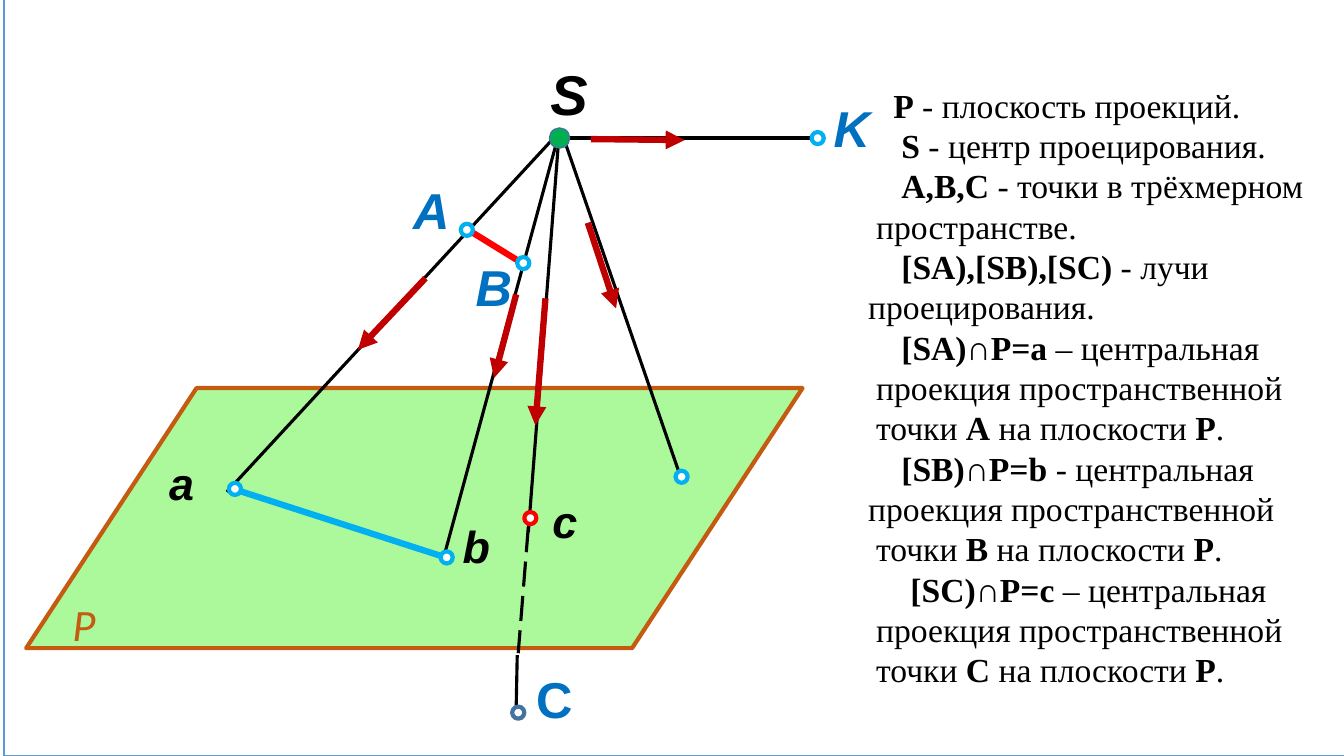
"""Build a slide that explains central projection onto a plane."""
from lxml.etree import SubElement
from pptx import Presentation
from pptx.dml.color import RGBColor
from pptx.enum.dml import MSO_LINE
from pptx.enum.shapes import MSO_CONNECTOR, MSO_SHAPE
from pptx.enum.text import MSO_ANCHOR, MSO_AUTO_SIZE, PP_ALIGN
from pptx.oxml.ns import qn
from pptx.util import Inches, Pt

WHITE = RGBColor(0xFF, 0xFF, 0xFF)
BLACK = RGBColor(0x00, 0x00, 0x00)
FRAME = RGBColor(0x5B, 0x9B, 0xD5)
PLANE = RGBColor(0xAB, 0xF9, 0x9B)
BROWN = RGBColor(0xC5, 0x5A, 0x11)
RED = RGBColor(0xFF, 0x00, 0x00)
DARK_RED = RGBColor(0xC0, 0x00, 0x00)
SKY = RGBColor(0x00, 0xB0, 0xF0)
BLUE = RGBColor(0x00, 0x70, 0xC0)
STEEL = RGBColor(0x43, 0x73, 0x9E)
GREEN = RGBColor(0x00, 0xB0, 0x50)

prs = Presentation()
prs.slide_width, prs.slide_height = Inches(13.33), Inches(7.5)
s = prs.slides.add_slide(prs.slide_layouts[1])
title, legend = s.placeholders
title.element.getparent().remove(title.element)


def add_figure(kind, x, y, w, h, fill, color, width):
    sp = s.shapes.add_shape(kind, Inches(x), Inches(y), Inches(w), Inches(h))
    sp.shadow.inherit = False
    sp.fill.solid()
    sp.fill.fore_color.rgb = fill
    sp.line.color.rgb = color
    sp.line.width = Pt(width)
    return sp


def add_line(x1, y1, x2, y2, color, width):
    ln = s.shapes.add_connector(MSO_CONNECTOR.STRAIGHT, Inches(x1), Inches(y1), Inches(x2), Inches(y2))
    ln.line.color.rgb = color
    ln.line.width = Pt(width)
    SubElement(ln.element.spPr, qn("a:effectLst"))
    return ln


frame = add_figure(MSO_SHAPE.RECTANGLE, 0.04, -0.01, 13.34, 7.51, WHITE, FRAME, 1)
legend.element.addprevious(frame.element)
plane = add_figure(MSO_SHAPE.PARALLELOGRAM, 0.26, 3.85, 7.7, 2.58, PLANE, BROWN, 3)
plane.adjustments[0] = 0.655

rays = [
    (5.54, 1.34, 4.39, 5.57),
    (5.51, 1.35, 2.25, 4.88),
    (5.58, 1.34, 6.76, 4.76),
    (5.62, 1.37, 8.13, 1.37),
    (5.55, 1.27, 5.24, 5.28),
    (5.13, 6.5, 5.12, 7.01),
]
for ends in rays:
    add_line(*ends, BLACK, 2.25)
hidden_ray = add_line(5.24, 5.23, 5.14, 6.48, BLACK, 2.25)
hidden_ray.line.dash_style = MSO_LINE.LONG_DASH

add_line(5.21, 2.63, 4.61, 2.26, RED, 4.5)
add_line(4.45, 5.54, 2.28, 4.84, SKY, 4.5)

arrows = [
    (5.83, 2.21, 6.11, 3.06),
    (5.12, 2.92, 4.9, 3.75),
    (5.86, 1.38, 6.79, 1.39),
    (4.22, 2.76, 3.55, 3.47),
    (5.41, 2.96, 5.31, 4.22),
]
for ends in arrows:
    arrow = add_line(*ends, DARK_RED, 4.5)
    SubElement(arrow.line._get_or_add_ln(), qn("a:tailEnd"), type="triangle")

add_figure(MSO_SHAPE.OVAL, 5.45, 1.27, 0.2, 0.2, GREEN, STEEL, 1)
points = [
    (4.57, 2.22, SKY),
    (5.13, 2.55, SKY),
    (4.37, 5.47, SKY),
    (8.05, 1.31, SKY),
    (6.7, 4.67, SKY),
    (2.27, 4.79, SKY),
    (5.2, 5.08, RED),
    (5.08, 7.01, STEEL),
]
for x, y, color in points:
    add_figure(MSO_SHAPE.OVAL, x, y, 0.12, 0.12, WHITE, color, 3)

labels = [
    ("Р", 0.62, 5.87, 0.41, 0.63, 32, "Calibri", BROWN, False, True),
    ("S", 5.36, 0.54, 0.7, 0.77, 40, "Arial", BLACK, True, True),
    ("a", 1.58, 4.47, 0.4, 0.64, 32, "Arial", BLACK, True, True),
    ("b", 4.49, 5.1, 0.65, 0.64, 32, "Arial", BLACK, True, True),
    ("c", 5.38, 4.85, 0.48, 0.64, 32, "Arial", BLACK, True, True),
    ("С", 5.22, 6.58, 0.48, 0.71, 36, "Arial", BLUE, True, False),
    ("K", 8.17, 0.91, 0.48, 0.71, 36, "Arial", BLUE, True, True),
    ("B", 4.62, 2.49, 0.43, 0.71, 36, "Arial", BLUE, True, True),
    ("A", 4, 1.73, 0.48, 0.71, 36, "Arial", BLUE, True, True),
]
for text, x, y, w, h, size, font, color, bold, italic in labels:
    tb = s.shapes.add_textbox(Inches(x), Inches(y), Inches(w), Inches(h))
    tb.text_frame.word_wrap = True
    r = tb.text_frame.paragraphs[0].add_run()
    r.text = text
    r.font.color.rgb = color
    for name, value in dict(size=Pt(size), name=font, bold=bold, italic=italic).items():
        setattr(r.font, name, value)

box = dict(left=Inches(8.51), top=Inches(0.79), width=Inches(4.75), height=Inches(6.16))
for name, value in box.items():
    setattr(legend, name, value)
tf = legend.text_frame
frame_format = dict(word_wrap=True, auto_size=MSO_AUTO_SIZE.NONE, vertical_anchor=MSO_ANCHOR.TOP)
for name, value in frame_format.items():
    setattr(tf, name, value)

legend_lines = [
    (0.25, "*Р *- плоскость проекций."),
    (0.33, "*S *- центр проецирования."),
    (0.33, "*А,В,С *- точки в трёхмерном"),
    (0.08, "пространстве."),
    (0.33, "*[SA),[SB),[SC)* - лучи"),
    (0, "проецирования."),
    (0.33, "*[SA)∩P=a* – центральная"),
    (0.08, "проекция пространственной"),
    (0.08, "точки *А* на плоскости *Р*."),
    (0.33, "*[SB)∩P=b* - центральная"),
    (0, "проекция пространственной"),
    (0.08, "точки *В* на плоскости *Р*."),
    (0.42, "*[SC)∩P=c* – центральная"),
    (0.08, "проекция пространственной"),
    (0.08, "точки *С* на плоскости *Р*."),
]
para_format = dict(alignment=PP_ALIGN.LEFT, line_spacing=Pt(28.8), space_before=Pt(0), space_after=Pt(0))
for i, (indent, line) in enumerate(legend_lines):
    p = tf.add_paragraph() if i else tf.paragraphs[0]
    for name, value in para_format.items():
        setattr(p, name, value)
    pPr = p._p.get_or_add_pPr()
    pPr.set("marL", str(Inches(indent)))
    pPr.set("indent", "0")
    SubElement(pPr, qn("a:buNone"))
    for j, part in enumerate(line.split("*")):
        if part:
            r = p.add_run()
            r.text = part
            r.font.color.rgb = BLACK
            for name, value in dict(size=Pt(24), name="Times New Roman", bold=j % 2 == 1).items():
                setattr(r.font, name, value)

prs.save("out.pptx")
